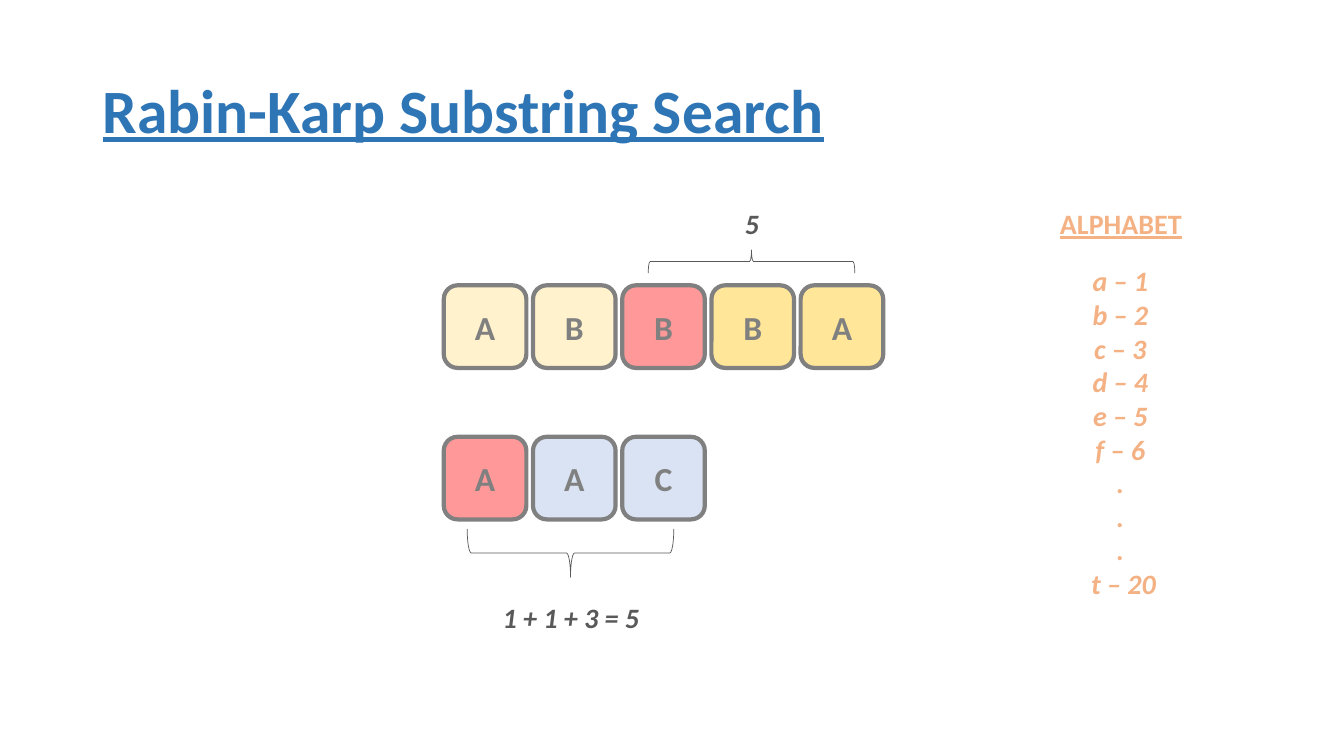
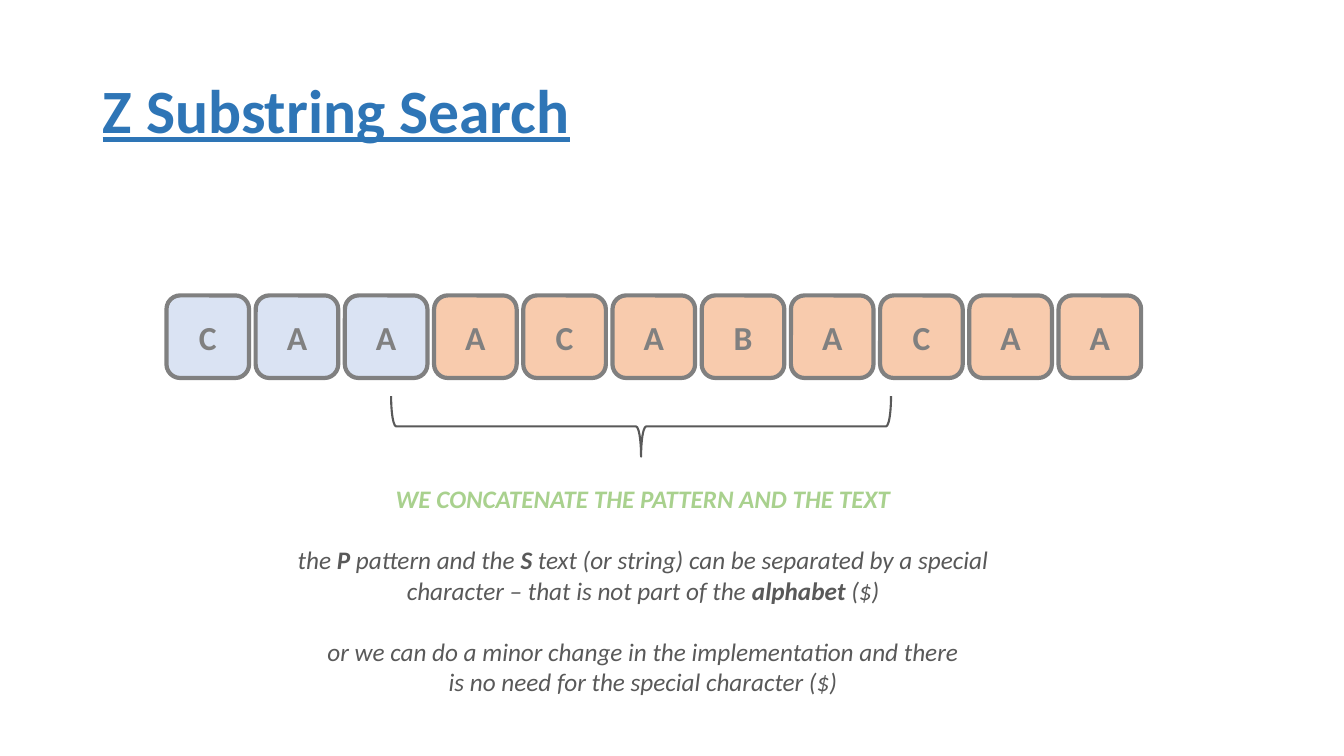
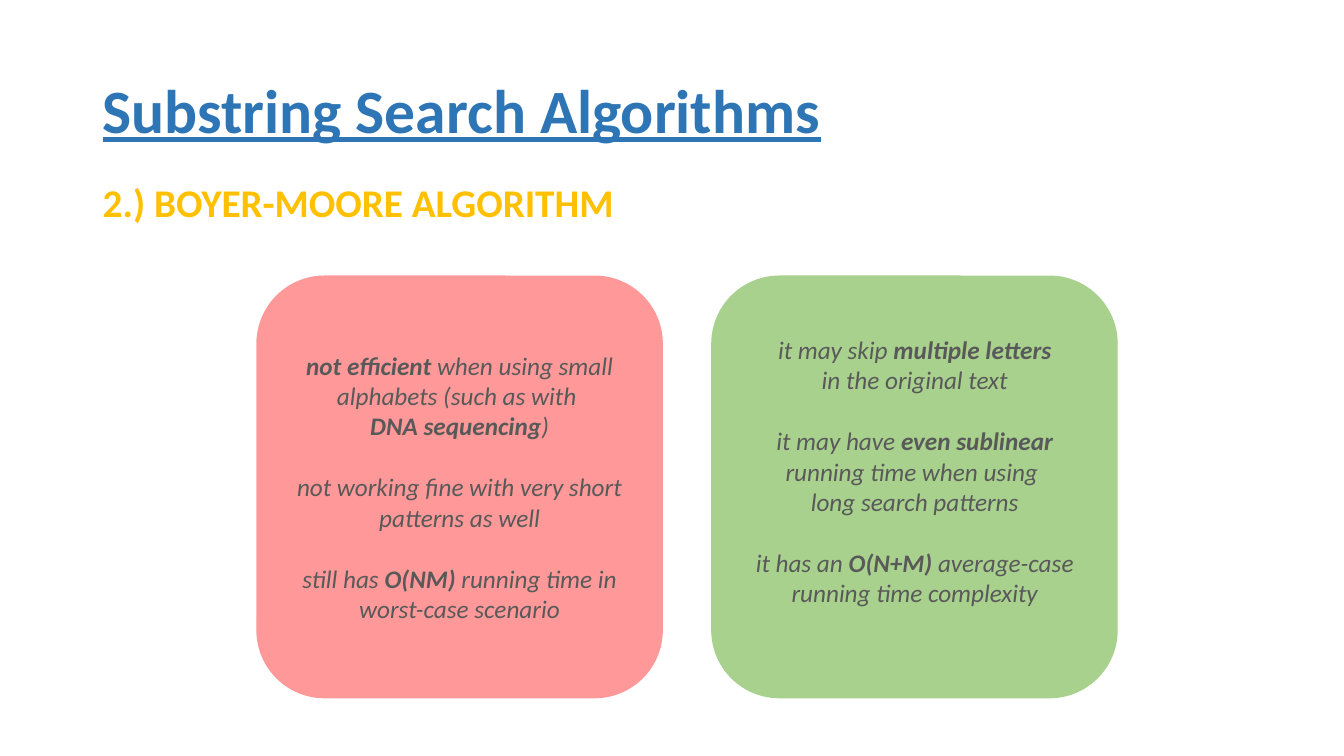
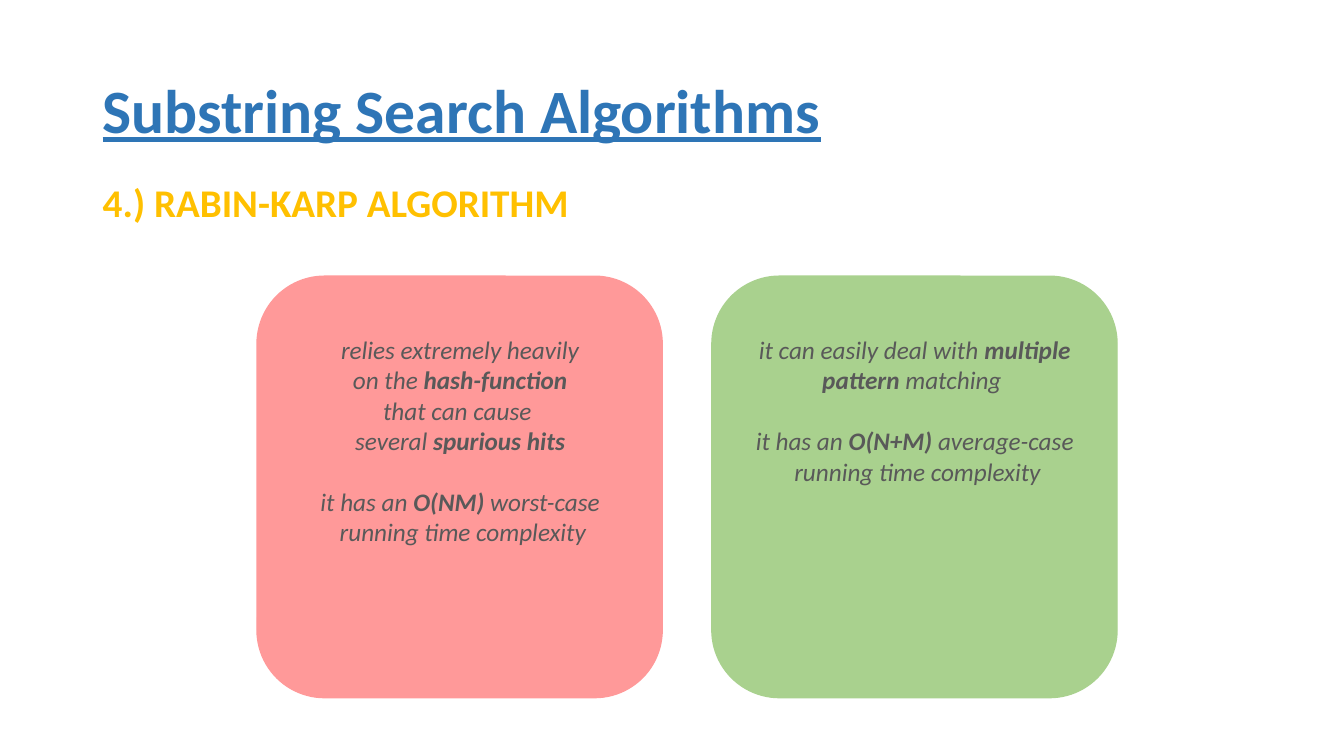
import lxml.etree
import pptx
import pptx.dml.color
import pptx.enum.shapes
import pptx.enum.text
import pptx.oxml.ns
import pptx.util

Pt = pptx.util.Pt
RGBColor = pptx.dml.color.RGBColor
Shape = pptx.enum.shapes.MSO_SHAPE
Align = pptx.enum.text.PP_ALIGN
Anchor = pptx.enum.text.MSO_ANCHOR
AutoSize = pptx.enum.text.MSO_AUTO_SIZE

BLUE = RGBColor(0x2E, 0x75, 0xB6)
GOLD = RGBColor(0xFF, 0xC0, 0x00)
GREY = RGBColor(0x80, 0x80, 0x80)
DARK = RGBColor(0x59, 0x59, 0x59)
ORANGE = RGBColor(0xF4, 0xB1, 0x83)
PEACH = RGBColor(0xF8, 0xCB, 0xAD)
CREAM = RGBColor(0xFF, 0xF2, 0xCC)
YELLOW = RGBColor(0xFF, 0xE6, 0x99)
RED = RGBColor(0xFF, 0x99, 0x99)
GREEN = RGBColor(0xA9, 0xD1, 0x8E)
ICE = RGBColor(0xDA, 0xE3, 0xF3)

FONT = "Calibri"
TITLE = {"size": Pt(44), "bold": True, "underline": True}
SUBTITLE = {"size": Pt(28), "bold": True}
LETTER = {"size": Pt(24), "bold": True}
LABEL = {"size": Pt(20), "bold": True, "italic": True}
LEGEND = {"size": Pt(20), "bold": True, "underline": True}
PROSE = {"size": Pt(18), "italic": True}
HEADING_LINES = {"line_spacing": 0.9, "alignment": Align.LEFT}
CENTRED = {"alignment": Align.CENTER}

STANZA_GAP = Pt(22)
TILE, TILE_STEP = 59, 63.72
PANEL_TOP, PANEL_WIDTH, PANEL_HEIGHT = 197.3, 289.4, 301


def set_formats(target, formats):
    for key, value in formats.items():
        setattr(target, key, value)


class Deck:
    def __init__(self):
        self.presentation = pptx.Presentation()
        self.presentation.slide_width = Pt(960)
        self.presentation.slide_height = Pt(540)
        self.slide = None

    def add_slide(self, title, subtitle=None):
        layout = self.presentation.slide_layouts[1 if subtitle else 5]
        self.slide = self.presentation.slides.add_slide(layout)
        self.heading(0, title, (66.2, 28.8, 828, 104.4), Anchor.MIDDLE, BLUE, TITLE)
        if subtitle:
            line = self.heading(1, subtitle, (66.2, 127.4, 864.7, 401), Anchor.TOP, GOLD, SUBTITLE)
            line.space_before = Pt(10)
            properties = line._p.get_or_add_pPr()
            for key in ("marL", "indent"):
                properties.set(key, "0")
            lxml.etree.SubElement(properties, pptx.oxml.ns.qn("a:buNone"))

    def heading(self, index, words, box, anchor, color, style):
        place = self.slide.placeholders[index]
        set_formats(place, dict(zip(("left", "top", "width", "height"), map(Pt, box))))
        set_formats(place.text_frame, {"vertical_anchor": anchor, "auto_size": AutoSize.NONE})
        self.lines(place.text_frame, [[words]], color, style, HEADING_LINES)
        return place.text_frame.paragraphs[0]

    def lines(self, frame, stanzas, color, style, layout=CENTRED, lead_color=None):
        for stanza_number, stanza in enumerate(stanzas):
            for line_number, words in enumerate(stanza):
                first = stanza_number == line_number == 0
                line = frame.paragraphs[0] if first else frame.add_paragraph()
                set_formats(line, layout)
                if stanza_number and not line_number:
                    line.space_before = STANZA_GAP
                for part, piece in enumerate(words.split("*")):
                    if not piece:
                        continue
                    run = line.add_run()
                    run.text = piece
                    set_formats(run.font, {"name": FONT, **style})
                    if part % 2:
                        run.font.bold = True
                    leading = lead_color and stanza_number == 0
                    run.font.color.rgb = lead_color if leading else color

    def text(self, left, top, width, height, stanzas, color, style, lead_color=None):
        frame = self.slide.shapes.add_textbox(*map(Pt, (left, top, width, height))).text_frame
        set_formats(frame, {"word_wrap": False, "auto_size": AutoSize.SHAPE_TO_FIT_TEXT})
        self.lines(frame, stanzas, color, style, lead_color=lead_color)

    def shape(self, kind, left, top, width, height, fill, line, weight):
        item = self.slide.shapes.add_shape(kind, *map(Pt, (left, top, width, height)))
        item.shadow.inherit = False
        if fill is None:
            item.fill.background()
        else:
            item.fill.solid()
            item.fill.fore_color.rgb = fill
        item.line.color.rgb = line
        item.line.width = Pt(weight)
        return item

    def tiles(self, left, top, letters, fills):
        for position, (letter, fill) in enumerate(zip(letters, fills)):
            tile = self.shape(Shape.ROUNDED_RECTANGLE, left + position * TILE_STEP, top,
                              TILE, TILE, fill, GREY, 3)
            tile.text_frame.vertical_anchor = Anchor.MIDDLE
            self.lines(tile.text_frame, [[letter]], GREY, LETTER)

    def brace(self, center_x, center_y, span, depth, rotation, weight):
        brace = self.shape(Shape.RIGHT_BRACE, center_x - depth / 2, center_y - span / 2,
                           depth, span, None, DARK, weight)
        brace.rotation = rotation

    def panel(self, left, fill, text_box, stanzas):
        self.shape(Shape.ROUNDED_RECTANGLE, left, PANEL_TOP, PANEL_WIDTH, PANEL_HEIGHT,
                   fill, fill, 1)
        self.text(*text_box, stanzas, DARK, PROSE)

    def comparison(self, subtitle, drawback_box, drawbacks, benefit_box, benefits):
        self.add_slide("Substring Search Algorithms", subtitle)
        self.panel(183.6, RED, drawback_box, drawbacks)
        self.panel(508.5, GREEN, benefit_box, benefits)


deck = Deck()

deck.add_slide("Rabin-Karp Substring Search")
deck.tiles(317, 203.8, "ABBBA", [CREAM] * 2 + [RED] + [YELLOW] * 2)
deck.tiles(317, 312, "AAC", [RED] + [ICE] * 2)
alphabet = [f"{letter} – {value}" for value, letter in enumerate("abcdef", 1)]
deck.text(767.5, 185, 65.5, 250, [alphabet + ["."] * 3 + [" t – 20"]], ORANGE, LABEL)
deck.text(749.5, 144, 102.2, 31.5, [["ALPHABET"]], ORANGE, LEGEND)
deck.text(351.4, 425.5, 113, 31.5, [["1 + 1 + 3 = 5"]], DARK, LABEL)
deck.brace(407.5, 395, 147.6, 34.6, 90, 0.5)
deck.brace(536.8, 186.8, 147.6, 16.6, 270, 0.5)
deck.text(524.9, 144, 24.5, 31.5, [["5"]], DARK, LABEL)

deck.add_slide("Z Substring Search")
deck.tiles(118.9, 211, "CAAACABACAA", [ICE] * 3 + [PEACH] * 8)
deck.brace(457.9, 304.6, 357.1, 43.2, 90, 1.5)
deck.text(202.3, 342, 514, 160, [
    ["*WE CONCATENATE THE PATTERN AND THE TEXT*"],
    ["the *P* pattern and the *S* text (or string) can be separated by a special",
     "character – that is not part of the *alphabet* ($)"],
    ["or we can do a minor change in the implementation and there",
     "is no need for the special character ($)"],
], DARK, PROSE, lead_color=GREEN)

deck.comparison(
    "2.) BOYER-MOORE ALGORITHM",
    (203.8, 246.6, 249, 225),
    [["*not efficient* when using small",
      "alphabets (such as with ",
      "*DNA sequencing*)"],
     ["not working fine with very short",
      "patterns as well"],
     ["still has *O(NM)* running time in",
      "worst-case scenario"]],
    (531.4, 235.4, 244, 225.4),
    [["it may skip *multiple letters*",
      "in the original text"],
     ["it may have *even sublinear*",
      "running time when using ",
      "long search patterns"],
     ["it has an *O(N+M)* average-case",
      "running time complexity"]])

deck.comparison(
    "4.) RABIN-KARP ALGORITHM",
    (220.3, 235.4, 216.7, 203.8),
    [["relies extremely heavily",
      "on the *hash-function*",
      "that can cause ",
      "several* spurious hits*"],
     ["it has an *O(NM)* worst-case",
      " running time complexity"]],
    (531.4, 235.4, 244, 138.2),
    [["it can easily deal with *multiple*",
      "*pattern* matching "],
     ["it has an *O(N+M)* average-case",
      " running time complexity"]])

deck.presentation.save("out.pptx")
